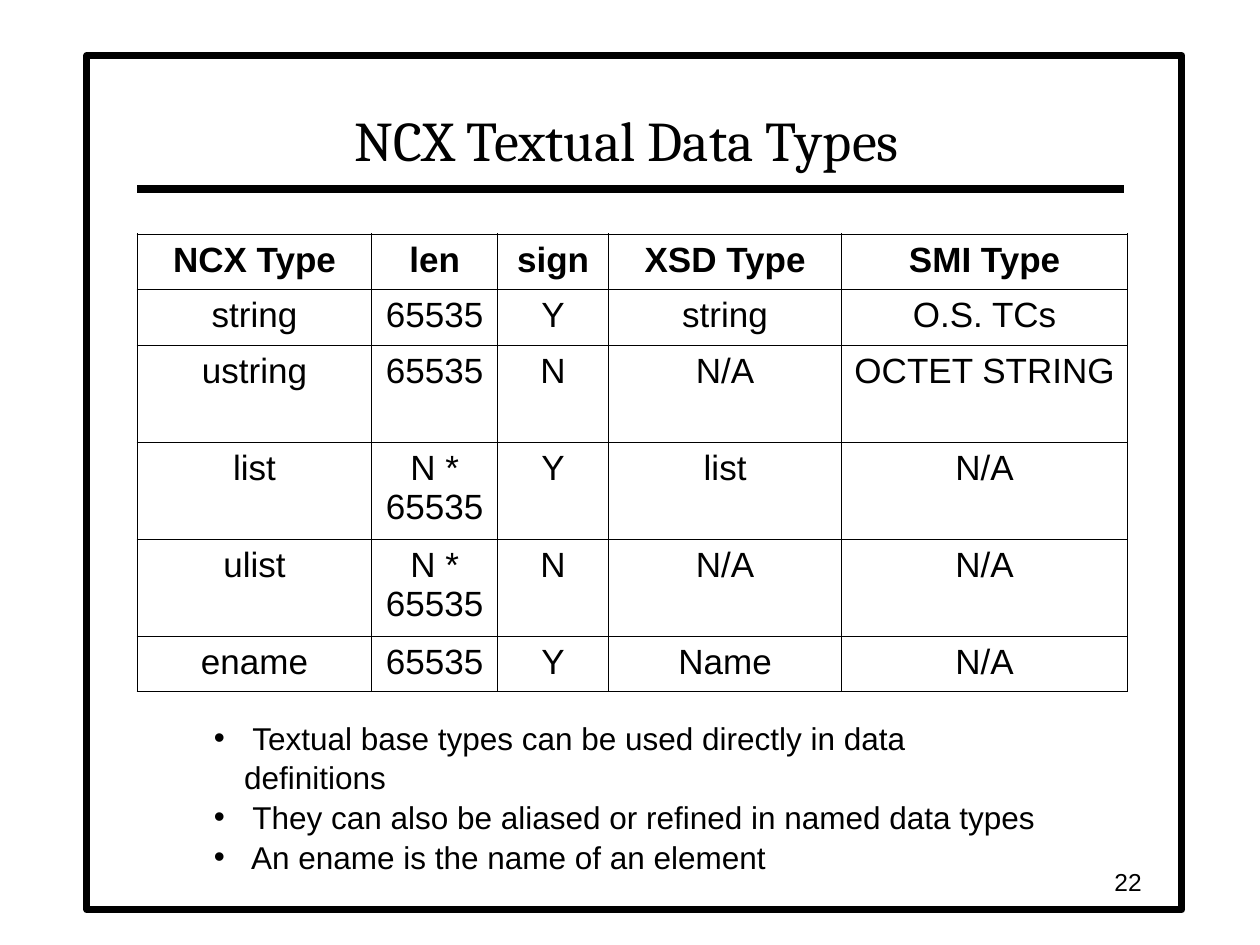
from lxml.etree import SubElement
from pptx import Presentation
from pptx.dml.color import RGBColor
from pptx.enum.shapes import MSO_CONNECTOR, MSO_SHAPE
from pptx.enum.text import MSO_ANCHOR, PP_ALIGN
from pptx.oxml.ns import qn
from pptx.util import Inches, Pt

BLACK = "000000"
WHITE = "FFFFFF"
THIN, THICK = 0.45, 1.08

COLUMN_WIDTHS = [1.86, 1, 0.88, 1.85, 2.27]
ROW_HEIGHTS = [0.44, 0.44, 0.77, 0.77, 0.77, 0.44]
DATA_TYPES = [
    ["NCX Type", "len", "sign", "XSD Type", "SMI Type"],
    ["string", "65535", "Y", "string", "O.S. TCs"],
    ["ustring", "65535", "N", "N/A", "OCTET STRING"],
    ["list", "N * 65535", "Y", "list", "N/A"],
    ["ulist", "N * 65535", "N", "N/A", "N/A"],
    ["ename", "65535", "Y", "Name", "N/A"],
]
NOTES = [
    " Textual base types can be used directly in data definitions",
    " They can also be aliased or refined in named data types",
    " An ename is the name of an element",
]


def color(hex_string):
    return RGBColor.from_string(hex_string)


def style_paragraph(paragraph, size, alignment=PP_ALIGN.LEFT, name="Arial", bold=False):
    paragraph.alignment = alignment
    font = paragraph.font
    font.name, font.size, font.bold = name, Pt(size), bold
    font.color.rgb = color(BLACK)


def add_frame(slide):
    frame = slide.shapes.add_shape(
        MSO_SHAPE.RECTANGLE, Inches(0.69), Inches(0.44), Inches(8.69), Inches(6.78))
    frame.shadow.inherit = False
    frame.fill.solid()
    frame.fill.fore_color.rgb = color(WHITE)
    frame.line.color.rgb = color(BLACK)
    frame.line.width = Pt(4)


def add_title_rule(slide):
    rule = slide.shapes.add_connector(
        MSO_CONNECTOR.STRAIGHT, Inches(1.09), Inches(1.5), Inches(8.92), Inches(1.5))
    rule.line.color.rgb = color(BLACK)
    rule.line.width = Pt(4.5)
    SubElement(rule._element.spPr, qn("a:effectLst"))


def add_text(slide, left, top, width, height, lines, anchor=MSO_ANCHOR.TOP):
    """Add a wrapping text box and return its paragraphs, one for each line."""
    box = slide.shapes.add_textbox(Inches(left), Inches(top), Inches(width), Inches(height))
    text_frame = box.text_frame
    text_frame.word_wrap = True
    text_frame.vertical_anchor = anchor
    text_frame.text = "\n".join(lines)
    return text_frame.paragraphs


def add_bullet(paragraph, hanging):
    properties = paragraph._p.get_or_add_pPr()
    properties.set("marL", str(Inches(hanging)))
    properties.set("indent", str(-Inches(hanging)))
    bullet_color = SubElement(properties, qn("a:buClr"))
    SubElement(bullet_color, qn("a:srgbClr"), val=BLACK)
    SubElement(properties, qn("a:buFont"), typeface="Arial")
    SubElement(properties, qn("a:buChar"), char="•")


def set_borders(cell, widths):
    """Draw black borders; widths maps L, R, T and B, in that order, to points."""
    properties = cell._tc.get_or_add_tcPr()
    for side, width in widths.items():
        border = SubElement(properties, qn(f"a:ln{side}"), w=str(Pt(width)))
        fill = SubElement(border, qn("a:solidFill"))
        SubElement(fill, qn("a:srgbClr"), val=BLACK)


def add_type_table(slide):
    rows, columns = len(ROW_HEIGHTS), len(COLUMN_WIDTHS)
    table = slide.shapes.add_table(
        rows, columns, Inches(1.09), Inches(1.86),
        Inches(sum(COLUMN_WIDTHS)), Inches(sum(ROW_HEIGHTS))).table
    table.first_row = table.horz_banding = False
    for column, width in zip(table.columns, COLUMN_WIDTHS):
        column.width = Inches(width)
    for row, height in zip(table.rows, ROW_HEIGHTS):
        row.height = Inches(height)

    for i, values in enumerate(DATA_TYPES):
        for j, value in enumerate(values):
            cell = table.cell(i, j)
            cell.text = value
            style_paragraph(cell.text_frame.paragraphs[0], 20, PP_ALIGN.CENTER, bold=i == 0)
            outer = {"L": j == 0, "R": j == columns - 1, "T": i == 0, "B": i == rows - 1}
            set_borders(cell, {side: THICK if edge else THIN for side, edge in outer.items()})
            cell.fill.background()


def main():
    presentation = Presentation()
    presentation.slide_width = Inches(10)
    presentation.slide_height = Inches(7.5)
    slide = presentation.slides.add_slide(presentation.slide_layouts[6])

    add_frame(slide)
    add_title_rule(slide)
    title = add_text(slide, 1.08, 0.5, 7.79, 0.92, ["NCX Textual Data Types"], MSO_ANCHOR.BOTTOM)
    style_paragraph(title[0], 32, PP_ALIGN.CENTER, name="Cambria")
    add_type_table(slide)
    for paragraph in add_text(slide, 1.6, 5.64, 6.76, 1, NOTES):
        paragraph.line_spacing = 1.05
        add_bullet(paragraph, 0.24)
        style_paragraph(paragraph, 18)
    page_number = add_text(slide, 7.08, 6.83, 2.08, 0.33, ["22"], MSO_ANCHOR.MIDDLE)
    style_paragraph(page_number[0], 14, PP_ALIGN.RIGHT)

    presentation.save("out.pptx")


if __name__ == "__main__":
    main()
